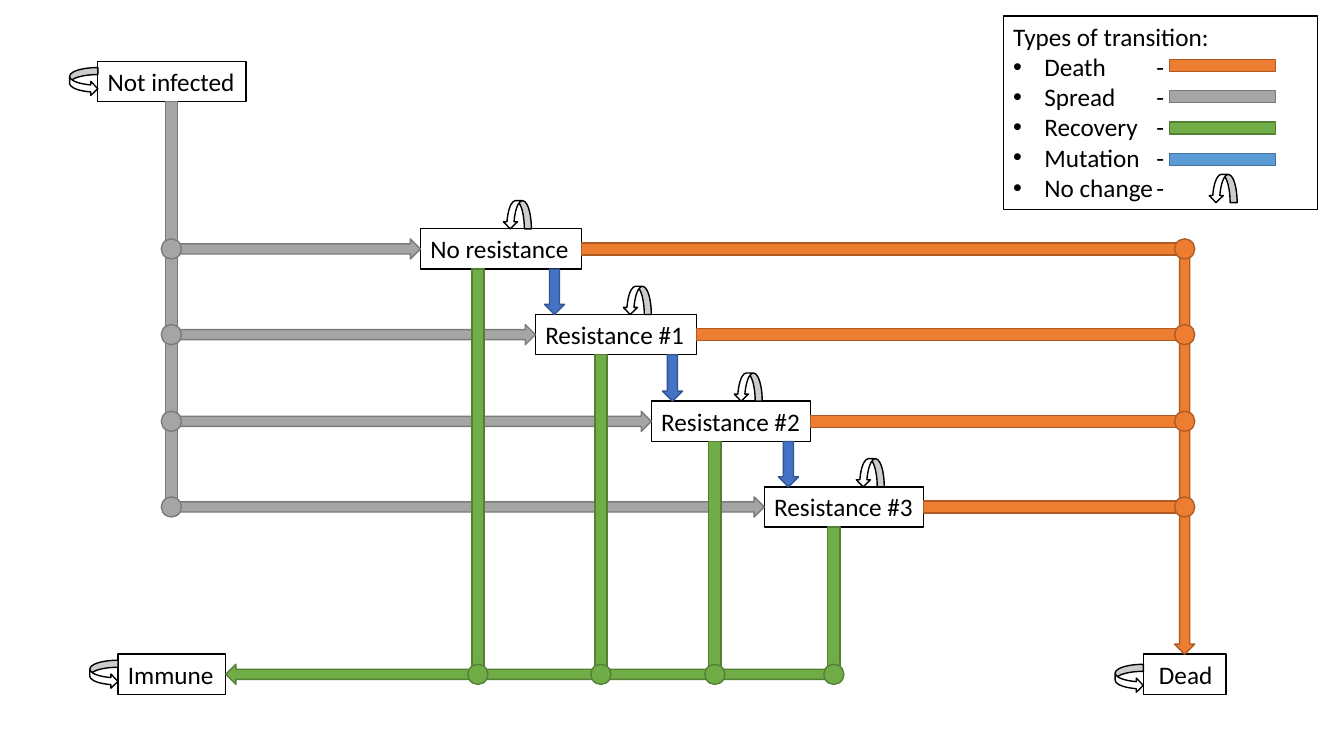
from dataclasses import dataclass

from lxml import etree
from pptx import Presentation
from pptx.dml.color import RGBColor
from pptx.enum.shapes import MSO_SHAPE as Preset
from pptx.enum.text import MSO_ANCHOR, PP_ALIGN
from pptx.oxml.ns import qn
from pptx.util import Inches, Pt

BLACK = RGBColor(0x00, 0x00, 0x00)
WHITE = RGBColor(0xFF, 0xFF, 0xFF)

# Each transition has a fill and an outline colour
PLAIN = (WHITE, BLACK)
DEATH = (RGBColor(0xED, 0x7D, 0x31), RGBColor(0xAF, 0x5C, 0x24))
SPREAD = (RGBColor(0xA5, 0xA5, 0xA5), RGBColor(0x7A, 0x7A, 0x7A))
RECOVERY = (RGBColor(0x70, 0xAD, 0x47), RGBColor(0x53, 0x80, 0x35))
MUTATION = (RGBColor(0x44, 0x72, 0xC4), RGBColor(0x32, 0x54, 0x91))
MUTATION_KEY = (RGBColor(0x5B, 0x9B, 0xD5), RGBColor(0x43, 0x73, 0x9E))

STATE_HEIGHT = 0.4
PIPE = 0.12
ARROW = 0.2
LOOP = 0.28
LINE_PITCH = 0.31


@dataclass
class Box:
    left: float
    top: float
    width: float
    height: float = STATE_HEIGHT

    @property
    def right(self):
        return self.left + self.width

    @property
    def bottom(self):
        return self.top + self.height

    @property
    def middle(self):
        return self.top + self.height / 2


@dataclass
class Strain:
    """An infected state, with the x centres of what leaves its box."""
    label: str
    box: Box
    loop_x: float
    recovery_x: float
    mutation_x: float = None


NOT_INFECTED = Box(0.97, 0.61, 1.47)
IMMUNE = Box(1.17, 6.49, 1.07)
DEAD = Box(11.34, 6.49, 0.82)
STRAINS = [
    Strain("No resistance", Box(4.17, 2.27, 1.6), 5.13, 4.74, 5.5),
    Strain("Resistance #1", Box(5.31, 3.12, 1.6), 6.32, 5.96, 6.67),
    Strain("Resistance #2", Box(6.46, 3.98, 1.58), 7.42, 7.09, 7.82),
    Strain("Resistance #3", Box(7.58, 4.83, 1.58), 8.63, 8.27),
]


def add_preset(slide, preset, box, colours):
    shape = slide.shapes.add_shape(
        preset, Inches(box.left), Inches(box.top), Inches(box.width), Inches(box.height))
    shape.shadow.inherit = False
    shape.fill.solid()
    shape.fill.fore_color.rgb, shape.line.color.rgb = colours
    shape.line.width = Pt(1)
    return shape


def add_text(frame, text, bullet=False, first=False, size=18, colour=BLACK):
    paragraph = frame.paragraphs[0] if first else frame.add_paragraph()
    paragraph.alignment = PP_ALIGN.LEFT
    run = paragraph.add_run()
    run.text = text
    run.font.name = "Calibri"
    run.font.size = Pt(size)
    run.font.color.rgb = colour
    if bullet:
        properties = paragraph._p.get_or_add_pPr()
        properties.set("marL", str(Inches(0.31)))
        properties.set("indent", str(-Inches(0.31)))
        etree.SubElement(properties, qn("a:buFont")).set("typeface", "Arial")
        etree.SubElement(properties, qn("a:buChar")).set("char", "•")


def add_pipe(slide, start, end, colours, preset=Preset.RECTANGLE, thickness=PIPE):
    """Draw a straight bar or block arrow centred on the line from start to end."""
    (x1, y1), (x2, y2) = start, end
    if y1 == y2:
        box = Box(min(x1, x2), y1 - thickness / 2, abs(x2 - x1), thickness)
    else:
        box = Box(x1 - thickness / 2, y1, thickness, y2 - y1)
    add_preset(slide, preset, box, colours)


def add_joint(slide, x, y, colours):
    add_preset(slide, Preset.OVAL, Box(x - ARROW / 2, y - ARROW / 2, ARROW, ARROW), colours)


def add_loop(slide, left, top, rotation=0):
    box = Box(left, top, LOOP, LOOP)
    add_preset(slide, Preset.CURVED_RIGHT_ARROW, box, PLAIN).rotation = rotation


def add_state(slide, label, box):
    frame = add_preset(slide, Preset.RECTANGLE, box, PLAIN).text_frame
    frame.word_wrap = False
    frame.vertical_anchor = MSO_ANCHOR.TOP
    add_text(frame, label, first=True)


def draw_states(slide):
    add_state(slide, "Not infected", NOT_INFECTED)
    for strain in STRAINS:
        add_state(slide, strain.label, strain.box)
    add_state(slide, " Dead", DEAD)
    add_state(slide, "Immune", IMMUNE)


def draw_mutation(slide):
    for strain, successor in zip(STRAINS, STRAINS[1:]):
        x = strain.mutation_x
        add_pipe(slide, (x, strain.box.bottom), (x, successor.box.top),
                 MUTATION, Preset.DOWN_ARROW, ARROW)


def draw_no_change(slide):
    for box, drop in ((NOT_INFECTED, 0.06), (IMMUNE, 0.06), (DEAD, 0.1)):
        add_loop(slide, box.left - LOOP, box.top + drop)
    for strain in STRAINS:
        add_loop(slide, strain.loop_x - LOOP / 2, strain.box.top - LOOP, rotation=90)


def draw_death(slide, trunk_x=11.75):
    add_pipe(slide, (trunk_x, STRAINS[0].box.middle), (trunk_x, DEAD.top),
             DEATH, Preset.DOWN_ARROW, ARROW)
    for strain in STRAINS:
        y = strain.box.middle
        add_pipe(slide, (strain.box.right, y), (trunk_x, y), DEATH)
    for strain in STRAINS:
        add_joint(slide, trunk_x, strain.box.middle, DEATH)


def draw_spread(slide, trunk_x=1.7):
    add_pipe(slide, (trunk_x, NOT_INFECTED.bottom),
             (trunk_x, STRAINS[-1].box.middle), SPREAD)
    for strain in STRAINS:
        y = strain.box.middle
        add_pipe(slide, (trunk_x, y), (strain.box.left, y),
                 SPREAD, Preset.RIGHT_ARROW, ARROW)
    for strain in STRAINS:
        add_joint(slide, trunk_x, strain.box.middle, SPREAD)


def draw_recovery(slide):
    y = IMMUNE.middle
    add_pipe(slide, (STRAINS[-1].recovery_x, y), (IMMUNE.right, y),
             RECOVERY, Preset.LEFT_ARROW, ARROW)
    for strain in STRAINS:
        x = strain.recovery_x
        add_pipe(slide, (x, strain.box.bottom), (x, y), RECOVERY)
    for strain in STRAINS:
        add_joint(slide, strain.recovery_x, y, RECOVERY)


def draw_legend(slide, box):
    keys = {"Death": DEATH, "Spread": SPREAD, "Recovery": RECOVERY,
            "Mutation": MUTATION_KEY, "No change": None}
    names = add_preset(slide, Preset.RECTANGLE, box, PLAIN).text_frame
    names.word_wrap = True
    names.vertical_anchor = MSO_ANCHOR.TOP
    add_text(names, "Types of transition:", first=True)
    dashes = slide.shapes.add_textbox(
        Inches(box.left + 1.42), Inches(box.top + 0.3), Inches(0.3), Inches(1.6)).text_frame
    dashes.word_wrap = True
    for row, (name, colours) in enumerate(keys.items()):
        add_text(names, name, bullet=True)
        add_text(dashes, "-", first=row == 0)
        if colours:
            y = box.top + 0.49 + row * LINE_PITCH
            add_pipe(slide, (box.left + 1.65, y), (box.left + 2.7, y), colours)
        else:
            add_loop(slide, box.left + 2.04, box.top + 1.57, rotation=90)


def main():
    deck = Presentation()
    deck.slide_width, deck.slide_height = Inches(13.33), Inches(7.5)
    slide = deck.slides.add_slide(deck.slide_layouts[6])
    for draw in (draw_states, draw_mutation, draw_no_change,
                 draw_death, draw_spread, draw_recovery):
        draw(slide)
    draw_legend(slide, Box(9.95, 0.16, 3.12, 1.92))
    deck.save("out.pptx")


if __name__ == "__main__":
    main()
